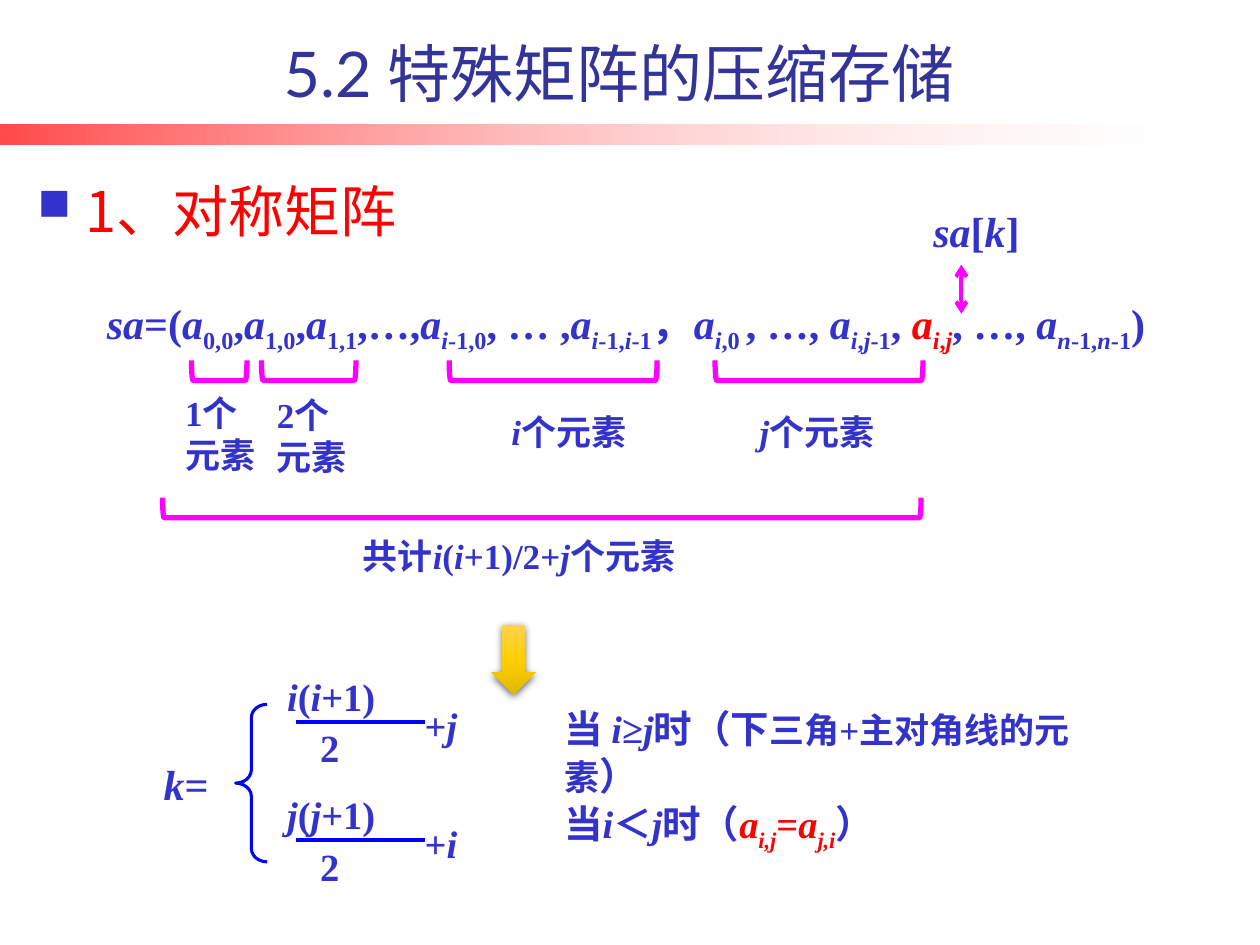
from dataclasses import dataclass

from lxml.etree import SubElement
from pptx import Presentation
from pptx.dml.color import RGBColor
from pptx.enum.shapes import MSO_CONNECTOR, MSO_SHAPE
from pptx.enum.text import MSO_ANCHOR, PP_ALIGN
from pptx.oxml.ns import qn
from pptx.util import Inches, Pt

COLUMNS, ROWS = 100, 75  # grid cells of a tenth of an inch
BLUE, RED, MAGENTA, LINE_BLUE = "3333CC", "FF0000", "FF00FF", "0000FF"
SERIF, SANS = "Times New Roman", "Noto Sans CJK SC"

presentation = Presentation()
presentation.slide_width, presentation.slide_height = Inches(10), Inches(7.5)
slide = presentation.slides.add_slide(presentation.slide_layouts[6])


@dataclass
class Area:
    column: float
    row: float
    columns: float
    rows: float

    def emu(self) -> tuple:
        return (across(self.column), down(self.row), across(self.columns), down(self.rows))


@dataclass
class Group:
    """A bracket under part of the sequence, with its element count."""
    column: float
    columns: float
    row: float
    label: str
    label_area: Area


@dataclass
class Fraction:
    row: float
    numerator: str
    addend: str


def across(columns: float) -> int:
    return round(presentation.slide_width * columns / COLUMNS)


def down(rows: float) -> int:
    return round(presentation.slide_height * rows / ROWS)


def color(value: str) -> RGBColor:
    return RGBColor.from_string(value)


def add_element(parent, tag: str, **attributes):
    return SubElement(parent, qn(tag), {key: str(value) for key, value in attributes.items()})


def add_color(parent, value: str, opacity: float = 100) -> None:
    element = add_element(parent, "a:srgbClr", val=value)
    if opacity < 100:
        add_element(element, "a:alpha", val=opacity * 1000)


def add_markup(paragraph, markup: str, size: float) -> None:
    """Add bold serif runs; ~ toggles italic, _ subscript, ^ red and | small text."""
    active, text = set(), ""
    for character in markup + "~":
        if character not in "~_^|":
            text += character
            continue
        if text:
            run = paragraph.add_run()
            run.text = text
            style_run(run, 20 if "|" in active else size, SERIF, RED if "^" in active else BLUE)
            run.font.bold, run.font.italic = True, "~" in active
            if "_" in active:
                run.font._element.set("baseline", "-25000")
            text = ""
        active ^= {character}


def style_run(run, size: float, font: str, value: str) -> None:
    run.font.size, run.font.name = Pt(size), font
    run.font.color.rgb = color(value)
    add_element(run.font._element, "a:ea", typeface=SANS)


def add_box(area: Area, margins: bool = True):
    text_frame = slide.shapes.add_textbox(*area.emu()).text_frame
    text_frame.word_wrap = True
    if not margins:
        text_frame.margin_left = text_frame.margin_right = 0
        text_frame.margin_top = text_frame.margin_bottom = 0
    return text_frame


def add_math(area: Area, markup: str, size: float, margins: bool = True) -> None:
    text_frame = add_box(area, margins)
    for index, line in enumerate(markup.split("\n")):
        paragraph = text_frame.add_paragraph() if index else text_frame.paragraphs[0]
        add_markup(paragraph, line, size)


def add_heading(area: Area, text: str, size: float, font: str, value: str):
    text_frame = add_box(area)
    text_frame.text = text
    paragraph = text_frame.paragraphs[0]
    style_run(paragraph.runs[0], size, font, value)
    return text_frame, paragraph


def add_outline(kind, area: Area, value: str, width: float):
    shape = slide.shapes.add_shape(kind, *area.emu())
    shape.shadow.inherit = False
    shape.fill.background()
    shape.line.color.rgb, shape.line.width = color(value), Pt(width)
    return shape


def add_gradient_shape(kind, area: Area, stops: list, angle: int):
    """Stops are (position, colour, opacity), all but the colour in percent."""
    shape = slide.shapes.add_shape(kind, *area.emu())
    shape.shadow.inherit = False
    shape.line.fill.background()
    shape.fill.gradient()
    gradient = shape._element.spPr.find(qn("a:gradFill"))
    for child in list(gradient):
        gradient.remove(child)
    stop_list = add_element(gradient, "a:gsLst")
    for position, value, opacity in stops:
        add_color(add_element(stop_list, "a:gs", pos=position * 1000), value, opacity)
    add_element(gradient, "a:lin", ang=angle * 60000, scaled=0)
    return shape


def add_line(start: tuple, end: tuple, value: str, arrows: bool = False) -> None:
    line = slide.shapes.add_connector(MSO_CONNECTOR.STRAIGHT, across(start[0]), down(start[1]),
                                      across(end[0]), down(end[1]))
    line.line.color.rgb, line.line.width = color(value), Pt(2.25)
    if arrows:
        for tag in ("a:headEnd", "a:tailEnd"):
            add_element(line.line._get_or_add_ln(), tag, type="arrow")
    add_element(line._element.spPr, "a:effectLst")


def add_group(group: Group) -> None:
    depth = 1.6
    middle = group.column + group.columns / 2
    area = Area(middle - depth / 2, group.row + depth / 2 - group.columns / 2, depth, group.columns)
    add_outline(MSO_SHAPE.LEFT_BRACKET, area, MAGENTA, 3).rotation = 270
    add_math(group.label_area, group.label, 20)


def add_fraction(fraction: Fraction) -> None:
    row = fraction.row
    add_math(Area(22.8, row, 11.7, 3.7), fraction.numerator, 22, margins=False)
    add_line((23.5, row + 3.9), (33.7, row + 3.9), LINE_BLUE)
    add_math(Area(25.4, row + 4.1, 5.5, 3.7), "2", 22, margins=False)
    add_math(Area(33.7, row + 2.3, 5.5, 3.7), fraction.addend, 22, margins=False)


# Title and heading
add_gradient_shape(MSO_SHAPE.RECTANGLE, Area(0, 9.9, 92.9, 1.6),
                   [(0, RED, 71), (100, "FFFFFF", 18)], 0)
title_frame, title = add_heading(Area(12, 2.1, 85.2, 7.1), " 5.2 特殊矩阵的压缩存储", 36, "Lato", "333399")
title_frame.vertical_anchor = MSO_ANCHOR.BOTTOM
title.alignment = PP_ALIGN.CENTER
title_frame._parent.left = across(5.9)
heading = add_heading(Area(2, 12.7, 85.2, 7.1), "1、对称矩阵", 32, SANS, RED)[1]
heading.line_spacing = 1.15
properties = heading._p.get_or_add_pPr()
properties.set("marL", str(Inches(0.38)))
properties.set("indent", str(-Inches(0.38)))
add_color(add_element(properties, "a:buClr"), BLUE)
add_element(properties, "a:buSzPct", val=80000)
add_element(properties, "a:buChar", char="■")

# Stored sequence
add_math(Area(7.5, 23.1, 90.6, 5),
         "~sa~=(~a~_0,0_,~a~_1,0_,~a~_1,1_,…,~a_i~-1,0_, … ,~a_i~-1,~i~-1_，~a_i~,0 _, …,"
         "~ a_i~,~j~-1_, ^~a_i~,~j~_^, …,~ a_n~-1,~n~-1_)", 24)
add_math(Area(73.1, 15.8, 13.7, 5), "~sa~[~k~]", 24)
add_line((76.3, 21), (76.3, 24.9), MAGENTA, arrows=True)

for element_group in (
    Group(15.2, 4.4, 28.6, "1个\n元素", Area(13.7, 30.6, 7.9, 7.7)),
    Group(20.75, 7.5, 28.6, "2个\n元素", Area(21, 30.7, 11, 7.7)),
    Group(35.65, 16.5, 28.6, "~i~个元素", Area(39.6, 32.1, 14.1, 4.4)),
    Group(56.75, 16.5, 28.6, "~j~个元素", Area(59.3, 32.1, 14.1, 4.4)),
    Group(12.9, 60.2, 39.5, "共计~i~(~i~+1)/2+~j~个元素", Area(27.8, 41.9, 31.3, 4.4)),
):
    add_group(element_group)

# Resulting formula
arrow = add_gradient_shape(MSO_SHAPE.DOWN_ARROW, Area(39, 49.6, 3.5, 5.5),
                           [(0, "FFD34B", 100), (50, "FFCF01", 100), (100, "E3B800", 100)], 90)
shadow = add_element(arrow._element.spPr.find(qn("a:effectLst")), "a:outerShdw",
                     blurRad=Pt(4.5), dist=Pt(1.5), dir=90 * 60000, rotWithShape=0)
add_color(shadow, "000000", 63)
add_math(Area(12, 59.7, 6.7, 5), "~k~=", 24)
brace = add_outline(MSO_SHAPE.LEFT_BRACE, Area(18.7, 55.9, 2.5, 12.5), LINE_BLUE, 1.75)
brace.adjustments[0] = 0.42
for formula in (Fraction(53.4, "~i~(~i~+1)", "+~j~"), Fraction(62.8, "~j~(~j~+1)", "+~i~")):
    add_fraction(formula)
add_math(Area(43.8, 55.5, 47.1, 4.7), "当 ~i~≥~j~时（下|三角+主对角线的元素|）", 22)
add_math(Area(43.8, 63, 29.7, 4.7), "当~i~＜~j~时（^~a_i,j_~=~a_j,i_~^）", 22)

presentation.save("out.pptx")
